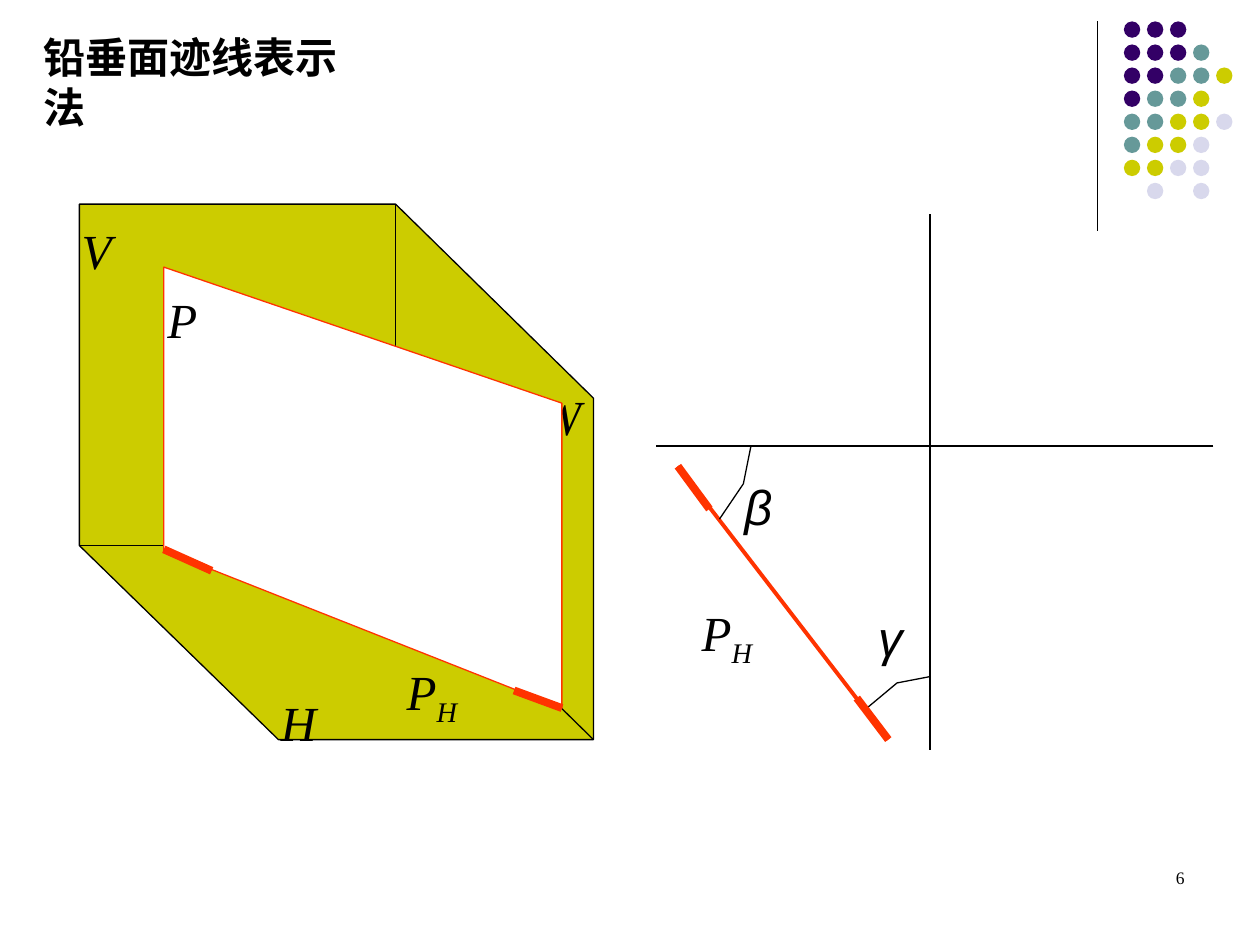
"""Build the slide on representing a vertical plane by its traces."""
from lxml import etree
from pptx import Presentation
from pptx.dml.color import RGBColor
from pptx.enum.shapes import MSO_CONNECTOR, MSO_SHAPE
from pptx.enum.text import MSO_AUTO_SIZE, PP_ALIGN
from pptx.oxml.ns import qn
from pptx.util import Inches, Pt

STRAIGHT = MSO_CONNECTOR.STRAIGHT
OVAL = MSO_SHAPE.OVAL
GROW = MSO_AUTO_SIZE.SHAPE_TO_FIT_TEXT
FIXED = MSO_AUTO_SIZE.NONE
LEFT, RIGHT = PP_ALIGN.LEFT, PP_ALIGN.RIGHT

BLACK, RED, OLIVE, WHITE = "000000", "FF3300", "CCCC00", "FFFFFF"
DOT_COLORS = {"P": "330066", "T": "669999", "O": OLIVE, "L": "D8D8EC"}
DOT_ROWS = ["PPP", "PPPT", "PPTTO", "PTTO", "TTOOL", "TOOL", "OOLL", " L L"]
SYMBOL = {"name": "Times New Roman", "size": Pt(28), "italic": True}
GREEK = {"name": "Arial", "size": Pt(28), "italic": True}
TITLE = {"name": "Arial", "size": Pt(24), "bold": True}
NUMBER = {"name": "Times New Roman", "size": Pt(10)}

presentation = Presentation()
presentation.slide_width, presentation.slide_height = Inches(10), Inches(7.5)
slide = presentation.slides.add_slide(presentation.slide_layouts[6])
shapes = slide.shapes


def draw(points, color=BLACK, width=0.75, fill=None):
    vertices = [(Inches(x), Inches(y)) for x, y in points]
    if len(vertices) == 2:
        shape = shapes.add_connector(STRAIGHT, *vertices[0], *vertices[1])
    else:
        builder = shapes.build_freeform(*vertices[0])
        builder.add_line_segments(vertices[1:], close=fill is not None)
        shape = builder.convert_to_shape()
        if fill:
            shape.fill.solid()
            shape.fill.fore_color.rgb = RGBColor.from_string(fill)
        else:
            shape.fill.background()
    shape.line.color.rgb = RGBColor.from_string(color)
    shape.line.width = Pt(width)
    if len(vertices) == 2:
        etree.SubElement(shape._element.spPr, qn("a:effectLst"))
    else:
        shape.shadow.inherit = False


def add_label(text, box, style, subscript="", wrap=True, fit=GROW, align=LEFT):
    frame = shapes.add_textbox(*map(Inches, box)).text_frame
    frame.word_wrap, frame.auto_size = wrap, fit
    paragraph = frame.paragraphs[0]
    paragraph.alignment = align
    for part in filter(None, (text, subscript)):
        run = paragraph.add_run()
        run.text = part
        for attribute, value in style.items():
            setattr(run.font, attribute, value)
        run.font.color.rgb = RGBColor.from_string(BLACK)
    if subscript:
        run._r.get_or_add_rPr().set("baseline", "-25000")


draw([(8.71, 0.17), (8.71, 1.83)])
for row, codes in enumerate(DOT_ROWS):
    for column, code in enumerate(codes):
        if code in DOT_COLORS:
            left, top = 8.92 + 0.183 * column, 0.17 + 0.183 * row
            dot = shapes.add_shape(OVAL, *map(Inches, (left, top, 0.13, 0.13)))
            dot.shadow.inherit = False
            dot.fill.solid()
            dot.fill.fore_color.rgb = RGBColor.from_string(DOT_COLORS[code])
            dot.line.fill.background()

projection_planes = [(0.63, 1.62), (0.63, 4.33), (2.21, 5.87),
                     (4.71, 5.87), (4.71, 3.16), (3.14, 1.62)]
draw(projection_planes, fill=OLIVE)
origin = (3.14, 4.33)
for corner in projection_planes[1::2]:
    draw([origin, corner])
for letter, box in [("V", (0.55, 1.7, 0.42, 0.57)),
                    ("W", (4.19, 3.02, 0.56, 0.57)),
                    ("H", (2.13, 5.45, 0.58, 0.57))]:
    add_label(letter, box, SYMBOL)

add_label("γ", (6.87, 4.77, 0.58, 0.57), GREEK)
add_label("β", (5.81, 3.73, 0.41, 0.57), GREEK, wrap=False)
draw([(9.63, 3.54), (5.21, 3.54)])
draw([(7.38, 5.95), (7.38, 1.7)])
trace_start, trace_end = (5.38, 3.7), (7.05, 5.87)
draw([trace_start, trace_end], RED, 2.25)
draw([(6.88, 5.62), (7.12, 5.42), (7.38, 5.37)])
draw([(5.71, 4.12), (5.9, 3.84), (5.96, 3.54)])
draw([trace_start, (5.63, 4.04)], RED, 4.5)
draw([trace_end, (6.8, 5.54)], RED, 4.5)
add_label("P", (5.47, 4.73, 1.02, 0.63), SYMBOL, "H")

draw([(1.3, 4.37), (1.3, 2.12), (4.46, 3.2), (4.46, 5.62), (4.36, 5.58)],
     RED, fill=WHITE)
add_label("P", (1.23, 2.25, 0.42, 0.57), SYMBOL)
add_label("P", (3.13, 5.2, 1.04, 0.63), SYMBOL, "H")
draw([(1.3, 4.36), (1.68, 4.53)], RED, 4.5)
draw([(4.08, 5.48), (4.46, 5.62)], RED, 4.5)

add_label("铅垂面迹线表示法", (0.25, 0.2, 2.86, 0.5), TITLE, wrap=False)
add_label("6", (7.17, 6.83, 2.33, 0.5), NUMBER, fit=FIXED, align=RIGHT)

presentation.save("out.pptx")
